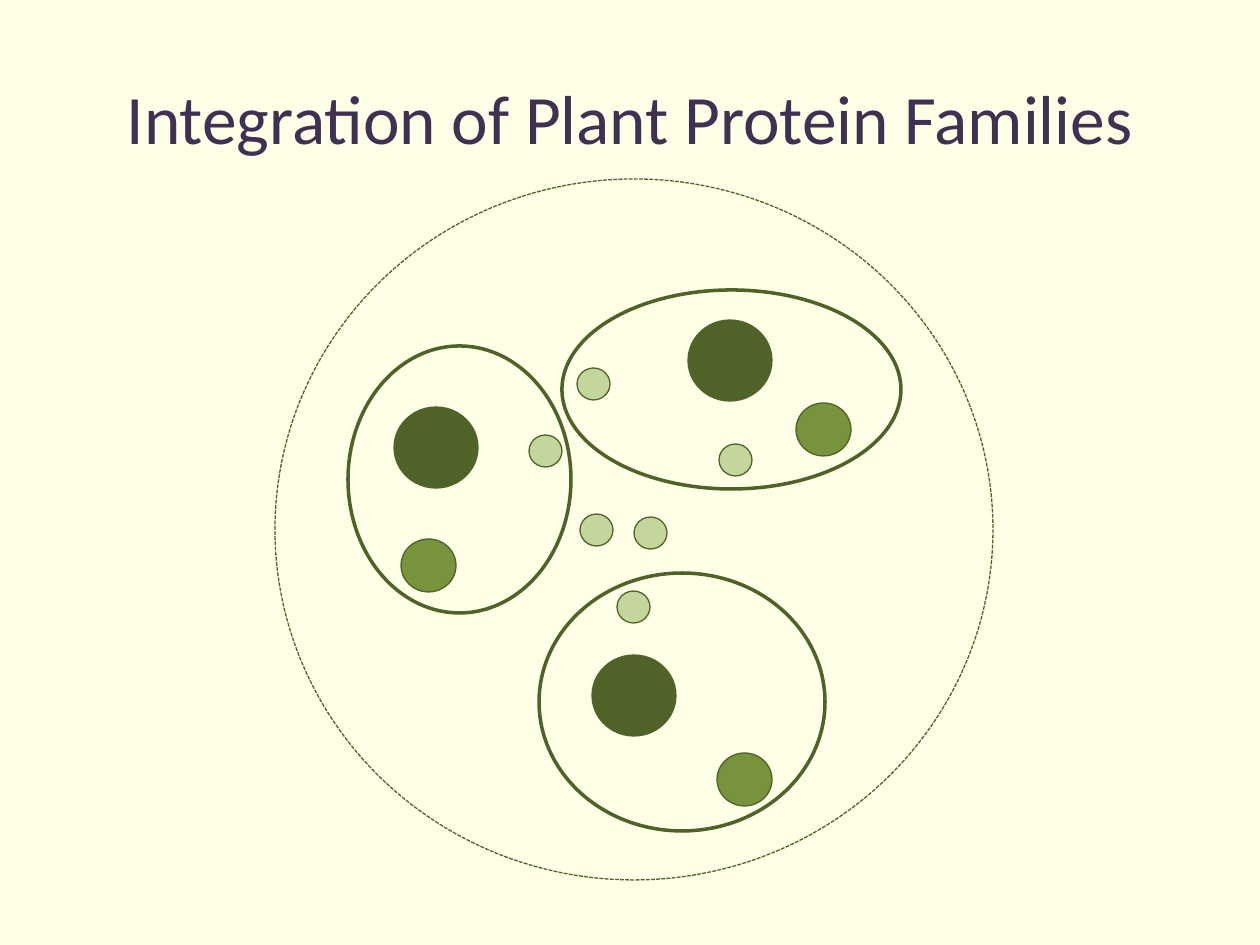
from dataclasses import dataclass

from pptx import Presentation
from pptx import util as u
from pptx.dml.color import RGBColor
from pptx.enum import dml, shapes, text


@dataclass(frozen=True)
class Theme:
    background: str = "FFFFE8"
    heading: str = "403152"
    outline: str = "4F6228"
    large: str = "4F6228"
    medium: str = "77933C"
    small: str = "C3D69B"
    font: str = "Calibri"
    title_size: float = 39.6
    thin: float = 0.75
    thick: float = 2


THEME = Theme()
EMU_PER_PX = 914400 / 126

LARGE_SIZE, MEDIUM_SIZE, SMALL_SIZE = (84, 81), (55, 53), (33, 32)
LARGE_PROTEINS = [(394, 407), (592, 655), (688, 320)]
MEDIUM_PROTEINS = [(796, 403), (401, 539), (717, 753)]
SMALL_PROTEINS = [(529, 435), (577, 368), (580, 514),
                  (634, 517), (719, 444), (617, 591)]
SUPERFAMILY = (275, 179, 718, 701)
FAMILIES = [(348, 346, 223, 267), (562, 290, 339, 199), (539, 573, 286, 258)]


def px(length):
    return u.Emu(round(length * EMU_PER_PX))


def write(frame, wording, *, size, color, font=THEME.font,
          align=text.PP_ALIGN.CENTER, anchor=text.MSO_ANCHOR.MIDDLE):
    frame.word_wrap = True
    frame.auto_size = text.MSO_AUTO_SIZE.NONE
    frame.vertical_anchor = anchor
    paragraph = frame.paragraphs[0]
    paragraph.alignment = align
    run = paragraph.add_run()
    run.text = wording
    run.font.name = font
    run.font.size = u.Pt(size)
    run.font.color.rgb = RGBColor.from_string(color)


def add_title(slide, wording, left, top, width, height):
    title = slide.shapes.title
    title.left, title.top = px(left), px(top)
    title.width, title.height = px(width), px(height)
    write(title.text_frame, wording, size=THEME.title_size, color=THEME.heading)


def add_ellipse(slide, left, top, width, height, *, fill=None,
                weight=THEME.thin, dash=None):
    ellipse = slide.shapes.add_shape(
        shapes.MSO_SHAPE.OVAL, px(left), px(top), px(width), px(height))
    ellipse.shadow.inherit = False
    if fill:
        ellipse.fill.solid()
        ellipse.fill.fore_color.rgb = RGBColor.from_string(fill)
    else:
        ellipse.fill.background()
    ellipse.line.color.rgb = RGBColor.from_string(THEME.outline)
    ellipse.line.width = u.Pt(weight)
    if dash:
        ellipse.line.dash_style = dash


def add_proteins(slide, corners, size, fill):
    for corner in corners:
        add_ellipse(slide, *corner, *size, fill=fill)


def main():
    """Build the slide of nested plant protein families."""
    deck = Presentation()
    deck.slide_width, deck.slide_height = px(1260), px(945)
    slide = deck.slides.add_slide(deck.slide_layouts.get_by_name("Title Only"))
    slide.background.fill.solid()
    slide.background.fill.fore_color.rgb = RGBColor.from_string(THEME.background)

    add_title(slide, "Integration of Plant Protein Families", 63, 38, 1134, 157)
    add_proteins(slide, LARGE_PROTEINS, LARGE_SIZE, THEME.large)
    add_ellipse(slide, *SUPERFAMILY, dash=dml.MSO_LINE.SQUARE_DOT)
    add_proteins(slide, MEDIUM_PROTEINS, MEDIUM_SIZE, THEME.medium)
    add_proteins(slide, SMALL_PROTEINS, SMALL_SIZE, THEME.small)
    for family in FAMILIES:
        add_ellipse(slide, *family, weight=THEME.thick)

    deck.save("out.pptx")


if __name__ == "__main__":
    main()
